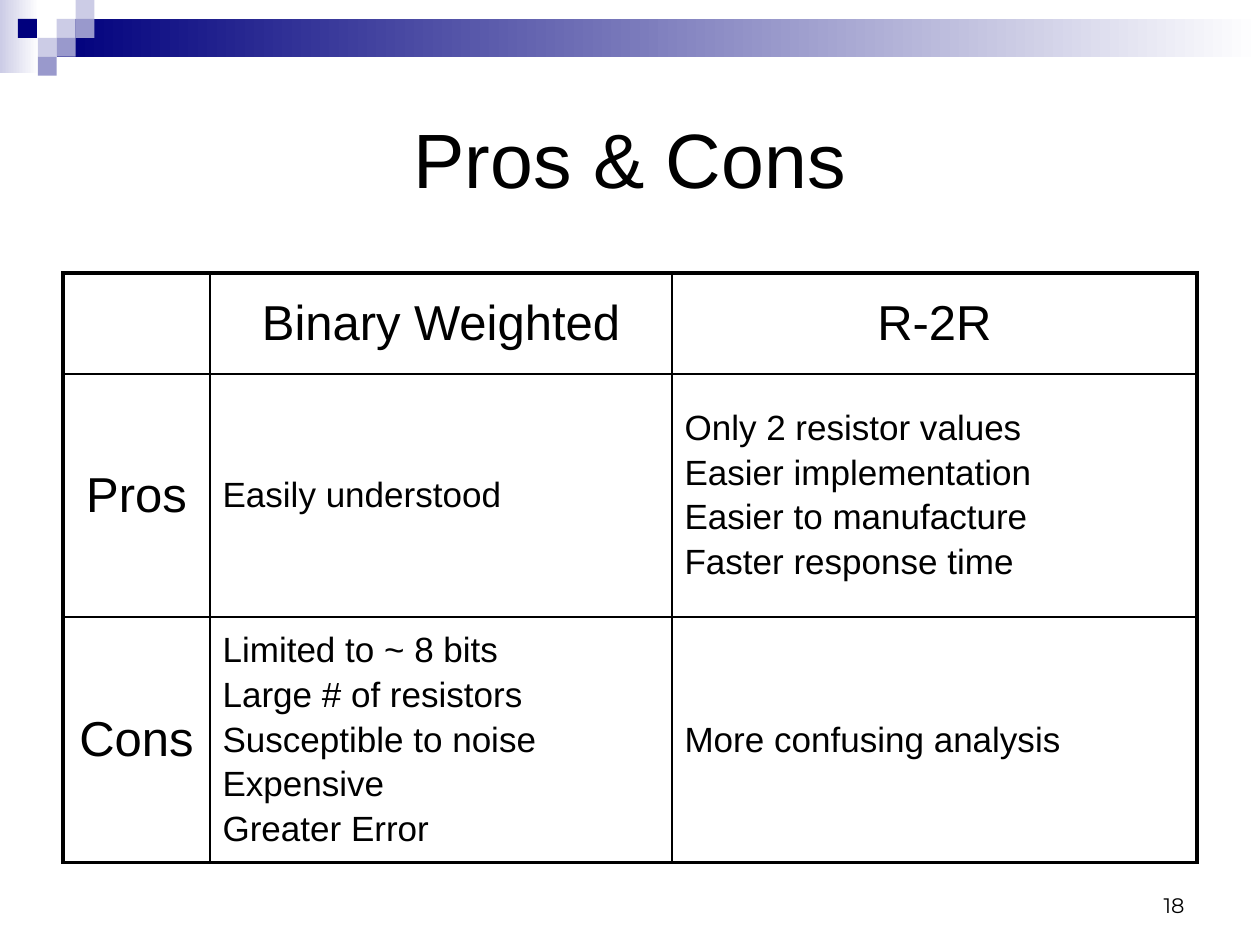
from lxml import etree
from pptx import Presentation
from pptx.dml.color import RGBColor
from pptx.enum import shapes, text
from pptx.oxml.ns import qn
from pptx.util import Pt

INK, NAVY, MID, PALE, WHITE = "000000", "00007D", "9999CC", "CCCCE6", "FFFFFF"
THICK, THIN = 2.25, 1
COLS, ROWS = [84, 264, 300], [57.6, 139, 139.6]
CELLS = [
    ["", "Binary Weighted", "R-2R"],
    ["Pros", "Easily understood",
     "Only 2 resistor values\nEasier implementation\n"
     "Easier to manufacture\nFaster response time"],
    ["Cons",
     "Limited to ~ 8 bits\nLarge # of resistors\nSusceptible to noise\n"
     "Expensive\nGreater Error",
     "More confusing analysis"],
]


def rgb(code):
    return RGBColor.from_string(code)


def style(para, size, align, face="Arial"):
    para.alignment = align
    para.font.size, para.font.name = Pt(size), face
    para.font.color.rgb = rgb(INK)


def block(group, box, *tints):
    """Draw a rectangle: one tint is solid, two fade from left to right."""
    rect = group.shapes.add_shape(
        shapes.MSO_SHAPE.RECTANGLE, *[Pt(v) for v in box])
    rect.shadow.inherit = False
    rect.line.fill.background()
    if len(tints) == 1:
        rect.fill.solid()
        rect.fill.fore_color.rgb = rgb(tints[0])
        return
    rect.fill.gradient()
    rect.fill.gradient_angle = 0
    for stop, tint in zip(rect.fill.gradient_stops, tints):
        stop.color.rgb = rgb(tint)


def banner(slide, left, top, width):
    group = slide.shapes.add_group_shape()
    unit = 10.8
    # Fading bars
    block(group, (left, top, 22.3, 41.8), PALE, WHITE)
    block(group, (left + 3 * unit, top + unit, width - 3 * unit, 2 * unit),
          NAVY, WHITE)
    # Checkered squares, as column and row on the grid
    for col, row, tint in [(3, 1, PALE), (4, 0, PALE), (4, 1, MID),
                           (2, 2, PALE), (0.95, 1, NAVY), (3, 2, MID),
                           (2, 3, MID)]:
        block(group, (left + col * unit, top + row * unit, unit, unit), tint)


def heading(slide, left, top, width, height):
    title = slide.shapes.title
    title.left, title.top = Pt(left), Pt(top)
    title.width, title.height = Pt(width), Pt(height)
    frame = title.text_frame
    frame.text = "Pros & Cons"
    frame.vertical_anchor = text.MSO_ANCHOR.MIDDLE
    style(frame.paragraphs[0], 44, text.PP_ALIGN.CENTER)


def border(cell, sides):
    props = cell._tc.get_or_add_tcPr()
    for spot, (side, width) in enumerate(sides.items()):
        line = etree.Element(qn("a:" + side), w=str(Pt(width)))
        fill = etree.SubElement(line, qn("a:solidFill"))
        etree.SubElement(fill, qn("a:srgbClr"), val=INK)
        props.insert(spot, line)  # lines come before the fill


def grid(slide, left, top):
    table = slide.shapes.add_table(
        len(ROWS), len(COLS), Pt(left), Pt(top),
        Pt(sum(COLS)), Pt(sum(ROWS))).table
    table.first_row = table.horz_banding = False
    for col, width in zip(table.columns, COLS):
        col.width = Pt(width)
    for row, height in zip(table.rows, ROWS):
        row.height = Pt(height)
    for r, line in enumerate(CELLS):
        for c, words in enumerate(line):
            cell = table.cell(r, c)
            cell.fill.background()
            cell.vertical_anchor = text.MSO_ANCHOR.MIDDLE
            cell.text = words
            # Labels are larger and centred
            label = r == 0 or c == 0
            size = 28 if label else 20
            align = text.PP_ALIGN.CENTER if label else text.PP_ALIGN.LEFT
            for para in cell.text_frame.paragraphs:
                style(para, size, align)
                para.space_before = Pt(round(size * 0.165, 1))
            # Thick frame, thin inner lines
            border(cell, {
                "lnL": THICK if c == 0 else THIN,
                "lnR": THICK if c == len(COLS) - 1 else THIN,
                "lnT": THICK if r == 0 else THIN,
                "lnB": THICK if r == len(ROWS) - 1 else THIN})


def number(slide, left, top, width, height):
    frame = slide.shapes.add_textbox(
        Pt(left), Pt(top), Pt(width), Pt(height)).text_frame
    frame.word_wrap = True
    frame.vertical_anchor = text.MSO_ANCHOR.BOTTOM
    frame.text = "18"
    style(frame.paragraphs[0], 12, text.PP_ALIGN.RIGHT, "Montserrat")


def main():
    deck = Presentation()
    deck.slide_width, deck.slide_height = Pt(720), Pt(540)
    slide = deck.slides.add_slide(deck.slide_layouts[5])
    banner(slide, 0, 0, 720)
    number(slide, 516, 492, 168, 36)
    heading(slide, 36, 36, 648, 108)
    grid(slide, 36, 156)
    deck.save("out.pptx")


if __name__ == "__main__":
    main()
